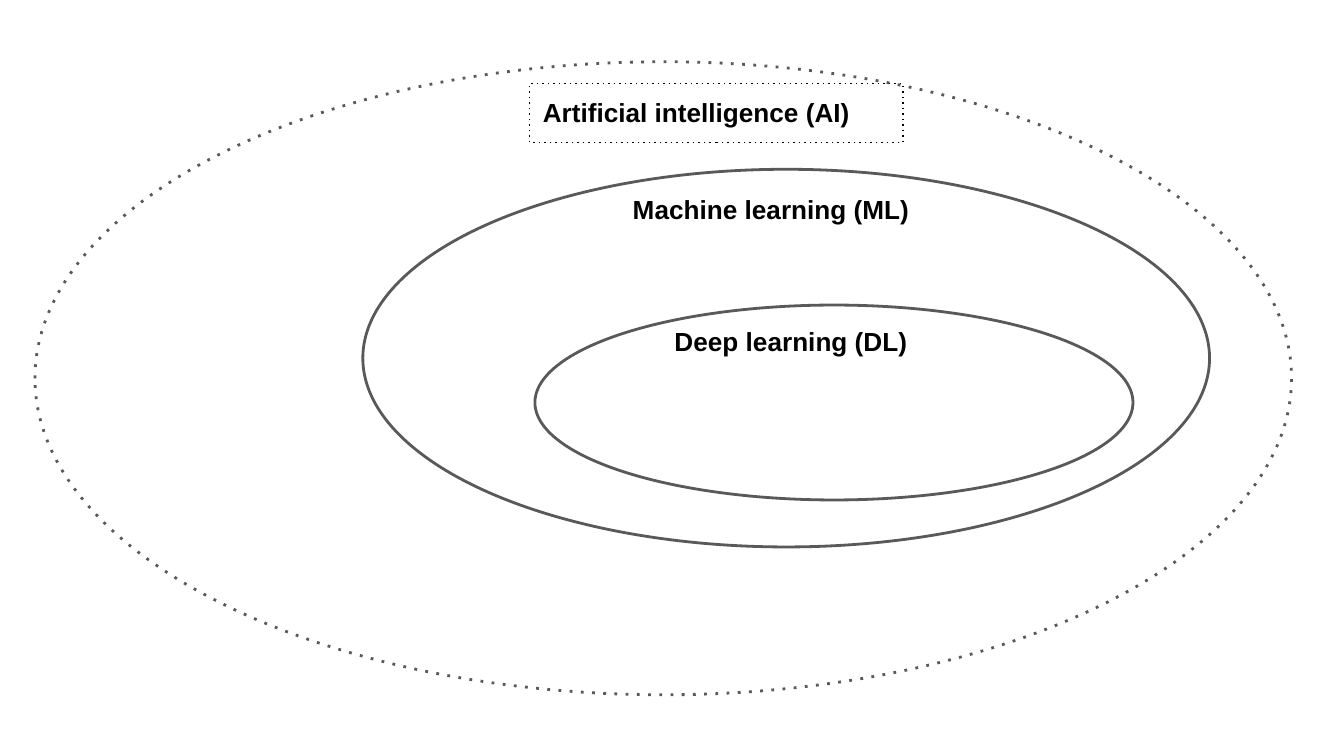
from dataclasses import dataclass

from pptx import Presentation
from pptx.dml.color import RGBColor
from pptx.enum.dml import MSO_LINE
from pptx.enum.shapes import MSO_SHAPE
from pptx.enum.text import MSO_ANCHOR, PP_ALIGN
from pptx.oxml.ns import qn
from pptx.shapes.autoshape import Shape
from pptx.shapes.group import GroupShape
from pptx.slide import Slide
from pptx.util import Inches, Pt

BLACK = "000000"
GRAY = "595959"


@dataclass
class Area:
    left: float
    top: float
    width: float
    height: float

    def lengths(self) -> list[int]:
        return [Inches(v) for v in (self.left, self.top, self.width, self.height)]


@dataclass
class Field:
    name: str
    ring: Area
    label: Area
    dotted: bool = False


FIELDS = [
    Field("Artificial intelligence (AI)", Area(0.26, 0.46, 9.35, 4.71),
          Area(3.94, 0.62, 2.78, 0.44), dotted=True),
    Field("Machine learning (ML)", Area(2.7, 1.26, 6.3, 2.81),
          Area(4.61, 1.34, 2.34, 0.38)),
    Field("Deep learning (DL)", Area(3.98, 2.27, 4.45, 1.45),
          Area(4.92, 2.32, 2.39, 0.44)),
]


def rgb(value: str) -> RGBColor:
    return RGBColor.from_string(value)


def add_outline(group: GroupShape, kind: MSO_SHAPE, area: Area, color: str,
                weight: float, dotted: bool) -> Shape:
    shape = group.shapes.add_shape(kind, *area.lengths())
    shape.shadow.inherit = False
    shape.fill.background()
    shape.line.color.rgb = rgb(color)
    shape.line.width = Pt(weight)
    if dotted:
        # The enumeration has no member for the plain "dot" preset.
        shape.line.dash_style = MSO_LINE.ROUND_DOT
        next(shape.element.iter(qn("a:prstDash"))).set("val", "dot")
    return shape


def write_label(box: Shape, text: str) -> None:
    frame = box.text_frame
    frame.word_wrap = True
    frame.vertical_anchor = MSO_ANCHOR.TOP
    frame.margin_left = frame.margin_right = Inches(0.1)
    frame.margin_top = frame.margin_bottom = Inches(0.1)
    para = frame.paragraphs[0]
    para.text = text
    para.alignment = PP_ALIGN.LEFT
    para.font.name = "Arial"
    para.font.size = Pt(14)
    para.font.bold = True
    para.font.color.rgb = rgb(BLACK)


def add_field(page: Slide, field: Field) -> None:
    group = page.shapes.add_group_shape()
    add_outline(group, MSO_SHAPE.OVAL, field.ring, GRAY, 1.5, field.dotted)
    if field.dotted:
        box = add_outline(group, MSO_SHAPE.RECTANGLE, field.label, BLACK, 0.75, True)
    else:
        box = group.shapes.add_textbox(*field.label.lengths())
    write_label(box, field.name)


def main() -> None:
    deck = Presentation()
    deck.slide_width = Inches(10)
    deck.slide_height = deck.slide_width * 9 // 16
    page = deck.slides.add_slide(deck.slide_layouts[6])
    for field in FIELDS:
        add_field(page, field)
    deck.save("out.pptx")


if __name__ == "__main__":
    main()
